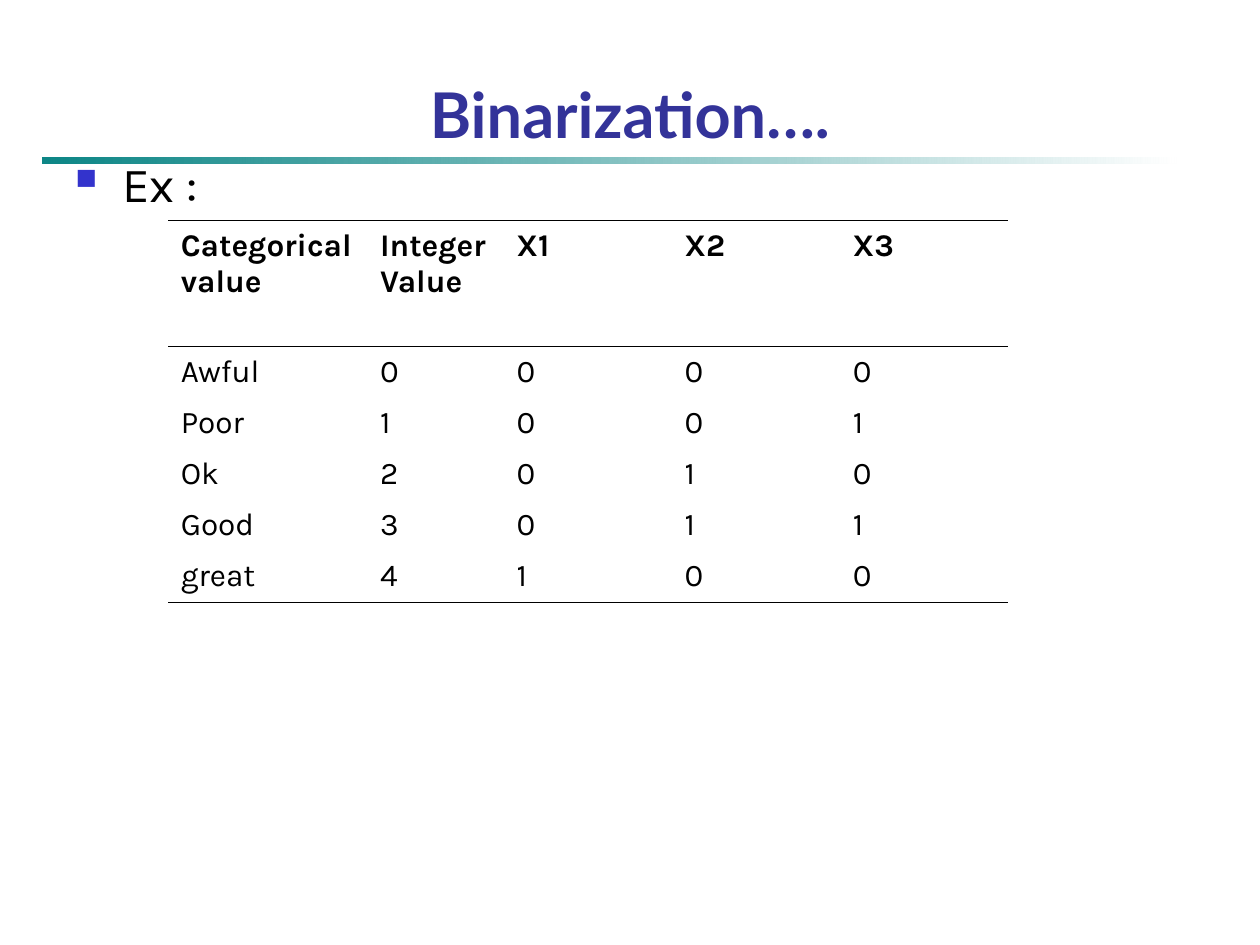
"""Build the Binarization slide: a title, a rule and a table of category codes."""
from dataclasses import dataclass

from lxml.etree import SubElement
from pptx import Presentation
from pptx.dml.color import RGBColor
from pptx.enum.shapes import MSO_SHAPE as Shape
from pptx.enum.text import MSO_ANCHOR as Anchor, PP_ALIGN as Align
from pptx.oxml import parse_xml
from pptx.oxml.ns import nsdecls, qn
from pptx.util import Cm, Pt


@dataclass(frozen=True)
class Theme:
    title_color: str = "333399"
    text_color: str = "000000"
    bullet_color: str = "3333CC"
    rule_start: str = "008080"
    rule_end: str = "FFFFFF"
    title_font: str = "Lato"
    body_font: str = "Karla"
    title_size: int = 36
    body_size: int = 28
    table_size: int = 18
    border_width: float = 0.45


theme = Theme()


def write(paragraph, text, font, size, color, bold=False):
    run = paragraph.add_run()
    run.text = text
    formats = {"name": font, "size": Pt(size), "bold": bold}
    for attribute, value in formats.items():
        setattr(run.font, attribute, value)
    run.font.color.rgb = RGBColor.from_string(color)


def set_borders(cell, visible_sides):
    properties = cell._tc.get_or_add_tcPr()
    for position, side in enumerate("LRTB"):
        if side in visible_sides:
            paint = f'<a:solidFill><a:srgbClr val="{theme.text_color}"/></a:solidFill>'
        else:
            paint = "<a:noFill/>"
        border = parse_xml(
            f'<a:ln{side} {nsdecls("a")} w="{Pt(theme.border_width)}">{paint}</a:ln{side}>'
        )
        properties.insert(position, border)


deck = Presentation()
deck.slide_width, deck.slide_height = Cm(25.4), Cm(19.05)
slide = deck.slides.add_slide(deck.slide_layouts[6])

rule = slide.shapes.add_shape(Shape.RECTANGLE, Cm(0.85), Cm(3.17), Cm(22.86), Cm(0.13))
rule.shadow.inherit = False
rule.line.fill.background()
rule.fill.gradient()
rule.fill.gradient_angle = 0
for stop, color in zip(rule.fill.gradient_stops, (theme.rule_start, theme.rule_end)):
    stop.color.rgb = RGBColor.from_string(color)
first_color = next(rule._element.iter(qn("a:srgbClr")))
SubElement(first_color, qn("a:alpha"), val="95000")

title = slide.shapes.add_textbox(Cm(1.27), Cm(0.76), Cm(22.86), Cm(2.41)).text_frame
title.word_wrap = True
title.vertical_anchor = Anchor.BOTTOM
title.paragraphs[0].alignment = Align.CENTER
write(title.paragraphs[0], "Binarization….", theme.title_font, theme.title_size,
      theme.title_color, bold=True)

example = slide.shapes.add_textbox(Cm(1.27), Cm(2.97), Cm(22.86), Cm(14.05)).text_frame
example.word_wrap = True
example_line = example.paragraphs[0]
example_line.space_before = Pt(7)
write(example_line, "Ex :", theme.body_font, theme.body_size, theme.text_color)
bullet = example_line._p.get_or_add_pPr()
bullet.set("marL", str(Cm(0.95)))
bullet.set("indent", str(-Cm(0.95)))
SubElement(SubElement(bullet, qn("a:buClr")), qn("a:srgbClr"), val=theme.bullet_color)
SubElement(bullet, qn("a:buSzPct"), val="60000")
SubElement(bullet, qn("a:buChar"), char="■")

codes = [
    ["Categorical\nvalue", "Integer\nValue", "X1", "X2", "X3"],
    ["Awful", "0", "0", "0", "0"],
    ["Poor", "1", "0", "0", "1"],
    ["Ok", "2", "0", "1", "0"],
    ["Good", "3", "0", "1", "1"],
    ["great", "4", "1", "0", "0"],
]
column_widths = [4.02, 2.75] + [3.39] * 3
row_heights = [2.54] + [1.03] * 5
border_sides = {0: "TB", 1: "T", len(codes) - 1: "B"}

code_table = slide.shapes.add_table(
    len(codes), len(column_widths), Cm(3.39), Cm(4.45),
    Cm(sum(column_widths)), Cm(sum(row_heights)),
).table
code_table.first_row = code_table.horz_banding = False
for column, width in zip(code_table.columns, column_widths):
    column.width = Cm(width)
for row, height in zip(code_table.rows, row_heights):
    row.height = Cm(height)

for row_index, values in enumerate(codes):
    for column_index, value in enumerate(values):
        cell = code_table.cell(row_index, column_index)
        cell.fill.background()
        set_borders(cell, border_sides.get(row_index, ""))
        for line_index, line in enumerate(value.split("\n")):
            frame = cell.text_frame
            paragraph = frame.add_paragraph() if line_index else frame.paragraphs[0]
            write(paragraph, line, theme.body_font, theme.table_size,
                  theme.text_color, bold=row_index == 0)

deck.save("out.pptx")
